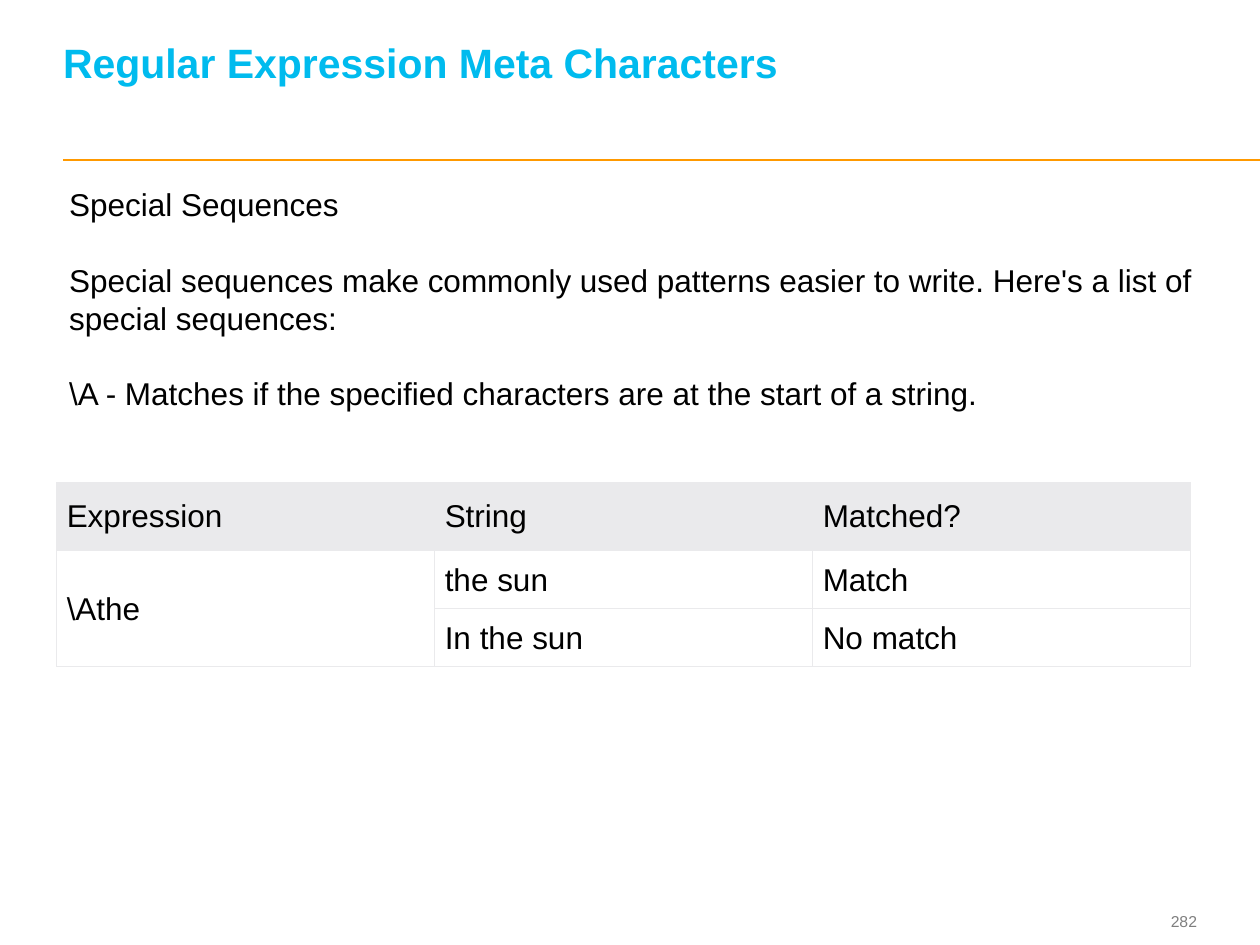
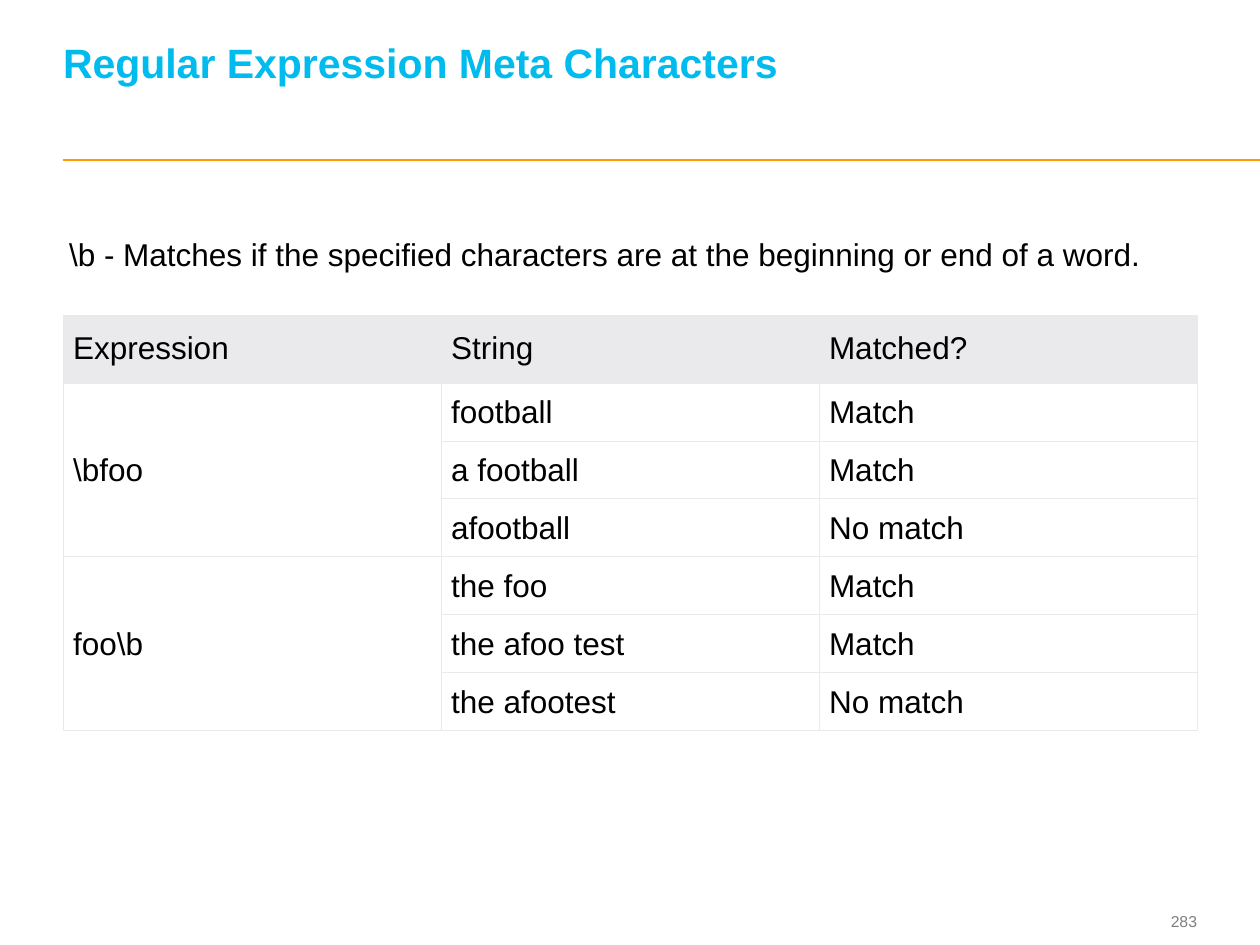
from dataclasses import dataclass
from itertools import groupby

from lxml.etree import SubElement
from pptx import Presentation
from pptx.dml.color import RGBColor
from pptx.enum.shapes import MSO_CONNECTOR
from pptx.enum.text import MSO_ANCHOR, MSO_AUTO_SIZE, PP_ALIGN
from pptx.oxml.ns import qn
from pptx.util import Inches, Pt


@dataclass(frozen=True)
class Theme:
    font: str = "Arial"
    title: str = "00BBEE"
    rule: str = "FF9900"
    text: str = "000000"
    footer: str = "7F7F7F"
    grid: str = "EAEAEC"
    paper: str = "FFFFFF"
    title_size: float = 23.4
    title_line: float = 26
    body_size: float = 18
    body_line: float = 21.6
    footer_size: float = 9
    grid_width: float = 0.6


THEME = Theme()
TITLE = "Regular Expression Meta Characters"
HEADER = ("Expression", "String", "Matched?")
TITLE_BOX = (0.5, 0.19, 8.97, 0.86)
NUMBER_BOX = (8.91, 7.18, 0.59, 0.27)
RULE = (0.5, 1.27, 10, 1.27)
HEADER_HEIGHT, ROW_HEIGHT = 0.54, 0.46
HEADER_INSETS = (0.08, 0.12, 0.07, 0.12)
BODY_INSETS = (0.08, 0.08, 0.07, 0.07)

SLIDES = [
    {
        "number": "282",
        "text_box": (0.45, 1.42, 9.26, 1.92),
        "paragraphs": [
            "Special Sequences",
            "Special sequences make commonly used patterns easier to write. "
            "Here's a list of special sequences:",
            r"\A - Matches if the specified characters are at the start of a string.",
        ],
        "table_at": (0.45, 3.83, 9),
        "matches": [
            (r"\Athe", "the sun", "Match"),
            (r"\Athe", "In the sun", "No match"),
        ],
    },
    {
        "number": "283",
        "text_box": (0.45, 1.82, 9.26, 0.4),
        "paragraphs": [
            r"\b - Matches if the specified characters are at the beginning or end of a word.",
        ],
        "table_at": (0.5, 2.5, 9),
        "matches": [
            (r"\bfoo", "football", "Match"),
            (r"\bfoo", "a football", "Match"),
            (r"\bfoo", "afootball", "No match"),
            (r"foo\b", "the foo", "Match"),
            (r"foo\b", "the afoo test", "Match"),
            (r"foo\b", "the afootest", "No match"),
        ],
    },
]


def set_attrs(target, **values):
    for name, value in values.items():
        setattr(target, name, value)


def inches(values):
    return [Inches(v) for v in values]


def set_insets(target, insets):
    sides = ("margin_left", "margin_top", "margin_right", "margin_bottom")
    set_attrs(target, **dict(zip(sides, inches(insets))))


def write(p, text, size, color, bold=False):
    r = p.add_run()
    r.text = text
    set_attrs(r.font, name=THEME.font, size=Pt(size), bold=bold)
    r.font.color.rgb = RGBColor.from_string(color)


def paint(target, color):
    target.fill.solid()
    target.fill.fore_color.rgb = RGBColor.from_string(color)


# Title, rule and page number shared by all slides
def add_title(s, box):
    sp = s.shapes.title
    set_attrs(sp, **dict(zip(("left", "top", "width", "height"), inches(box))))
    tf = sp.text_frame
    set_attrs(tf, word_wrap=True, auto_size=MSO_AUTO_SIZE.NONE,
              vertical_anchor=MSO_ANCHOR.BOTTOM)
    set_insets(tf, (0, 0, 0, THEME.title_line / 72))
    p = tf.paragraphs[0]
    set_attrs(p, alignment=PP_ALIGN.LEFT, line_spacing=Pt(THEME.title_line),
              space_before=Pt(0))
    write(p, TITLE, THEME.title_size, THEME.title, bold=True)


def add_rule(s, ends):
    line = s.shapes.add_connector(MSO_CONNECTOR.STRAIGHT, *inches(ends))
    line.line.color.rgb = RGBColor.from_string(THEME.rule)
    line.line.width = Pt(1)
    SubElement(line._element.spPr, qn("a:effectLst"))


def add_number(s, box, number):
    tf = s.shapes.add_textbox(*inches(box)).text_frame
    set_attrs(tf, word_wrap=True, vertical_anchor=MSO_ANCHOR.MIDDLE)
    set_insets(tf, (0, 0, 0, 0))
    p = tf.paragraphs[0]
    p.alignment = PP_ALIGN.RIGHT
    write(p, number, THEME.footer_size, THEME.footer)


# Explanatory text, paragraphs one line apart
def add_body(s, box, paragraphs):
    tf = s.shapes.add_textbox(*inches(box)).text_frame
    tf.word_wrap = True
    for i, text in enumerate(paragraphs):
        p = tf.add_paragraph() if i else tf.paragraphs[0]
        p.line_spacing = Pt(THEME.body_line)
        if i:
            p.space_before = Pt(THEME.body_line)
        write(p, text, THEME.body_size, THEME.text)


# Match table
def add_borders(cell):
    tc_pr = cell._tc.get_or_add_tcPr()
    for side in ("lnL", "lnR", "lnT", "lnB"):
        ln = SubElement(tc_pr, qn(f"a:{side}"), w=str(Pt(THEME.grid_width)))
        fill = SubElement(ln, qn("a:solidFill"))
        SubElement(fill, qn("a:srgbClr"), val=THEME.grid)


def format_cell(cell, text, is_header):
    add_borders(cell)
    paint(cell, THEME.grid if is_header else THEME.paper)
    cell.vertical_anchor = MSO_ANCHOR.MIDDLE
    set_insets(cell, HEADER_INSETS if is_header else BODY_INSETS)
    if text:
        write(cell.text_frame.paragraphs[0], text, THEME.body_size, THEME.text)


def add_match_table(s, at, matches):
    left, top, width = at
    height = HEADER_HEIGHT + ROW_HEIGHT * len(matches)
    table = s.shapes.add_table(len(matches) + 1, len(HEADER),
                               *inches((left, top, width, height))).table
    set_attrs(table, first_row=False, horz_banding=False)
    for col in table.columns:
        col.width = Inches(width / len(HEADER))
    for i, row in enumerate(table.rows):
        row.height = Inches(ROW_HEIGHT if i else HEADER_HEIGHT)

    # Rows with the same expression share one merged cell
    first = 1
    for _, group in groupby(matches, key=lambda match: match[0]):
        last = first + len(list(group)) - 1
        table.cell(first, 0).merge(table.cell(last, 0))
        first = last + 1

    for i, values in enumerate([HEADER, *matches]):
        for j, value in enumerate(values):
            cell = table.cell(i, j)
            format_cell(cell, "" if cell.is_spanned else value, i == 0)


def build_slide(prs, content):
    s = prs.slides.add_slide(prs.slide_layouts[5])
    paint(s.background, THEME.paper)
    add_rule(s, RULE)
    add_number(s, NUMBER_BOX, content["number"])
    add_title(s, TITLE_BOX)
    add_body(s, content["text_box"], content["paragraphs"])
    add_match_table(s, content["table_at"], content["matches"])


def main():
    prs = Presentation()
    set_attrs(prs, slide_width=Inches(10), slide_height=Inches(7.5))
    for content in SLIDES:
        build_slide(prs, content)
    prs.save("out.pptx")


if __name__ == "__main__":
    main()
